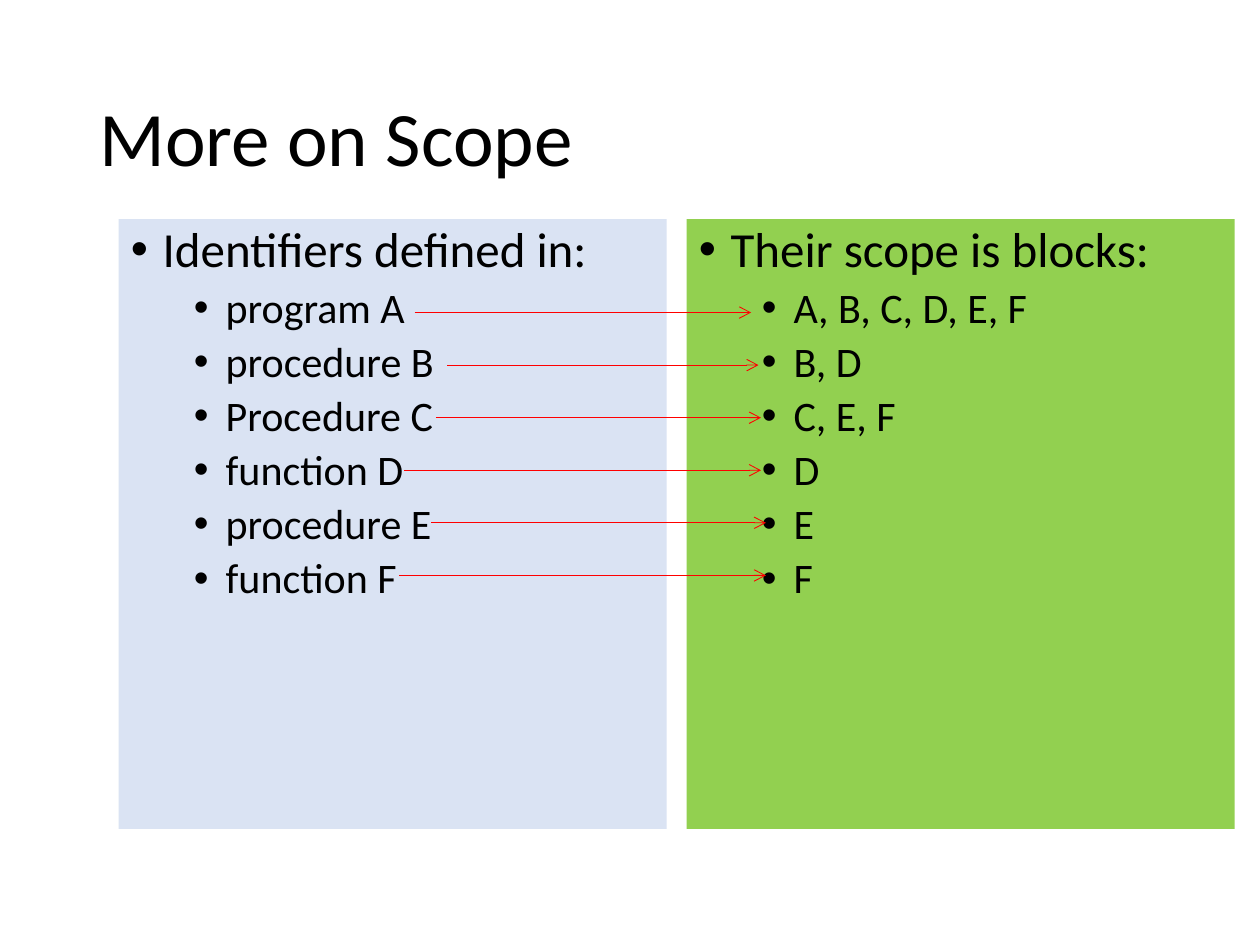
from pptx import Presentation
from pptx.util import Cm, Pt
from pptx.dml.color import RGBColor as RGB
from pptx.enum.shapes import MSO_CONNECTOR as Link
from pptx.enum.text import MSO_ANCHOR as Anchor, PP_ALIGN as Align
from lxml.etree import SubElement as Sub

NS = "{http://schemas.openxmlformats.org/drawingml/2006/main}"
INK = {"text": "000000", "left": "DAE3F3", "right": "92D050", "arrow": "FF0000"}


def style(para, size, **form):
    form = {"line_spacing": 0.9, "alignment": Align.LEFT, **form}
    for key, val in form.items():
        setattr(para, key, val)
    for key, val in {"name": "Calibri", "size": Pt(size)}.items():
        setattr(para.runs[0].font, key, val)
    para.runs[0].font.color.rgb = RGB.from_string(INK["text"])


deck = Presentation()
deck.slide_width, deck.slide_height = Cm(25.4), Cm(19.05)
slide = deck.slides.add_slide(deck.slide_layouts[5])

title = slide.shapes.title
place = {"left": 1.75, "top": 1.02, "width": 21.89, "height": 3.68}
for key, val in place.items():
    setattr(title, key, Cm(val))
title.text_frame.text = "More on Scope"
title.text_frame.vertical_anchor = Anchor.MIDDLE
style(title.text_frame.paragraphs[0], 44)

panels = [
    ("left", 2.39, "Identifiers defined in:",
     ["program A", "procedure B", "Procedure C",
      "function D", "procedure E", "function F"]),
    ("right", 13.84, "Their scope is blocks:",
     ["A, B, C, D, E, F", "B, D", "C, E, F", "D", "E", "F"]),
]
for side, left, head, items in panels:
    panel = slide.shapes.add_textbox(Cm(left), Cm(4.42), Cm(11.05), Cm(12.29))
    panel.fill.solid()
    panel.fill.fore_color.rgb = RGB.from_string(INK[side])
    frame = panel.text_frame
    frame.word_wrap = True
    for row, text in enumerate([head] + items):
        para = frame.add_paragraph() if row else frame.paragraphs[0]
        para.add_run().text = text
        level = 1 if row else 0
        style(para, 24 if row else 28, level=level,
              space_before=Pt(5 if row else 10))
        props = para._p.get_or_add_pPr()
        props.set("marL", str(Cm(1.91 if row else 0.64)))
        props.set("indent", str(Cm(-0.64)))
        Sub(props, NS + "buFont", typeface="Arial")
        Sub(props, NS + "buChar", char="•")

spans = [(8.36, 15.14), (9.02, 15.29), (8.79, 15.34),
         (8.15, 15.34), (8.69, 15.44), (8.05, 15.44)]
for row, (start, end) in enumerate(spans):
    y = Cm(6.3 + 1.06 * row)
    arrow = slide.shapes.add_connector(Link.STRAIGHT, Cm(start), y, Cm(end), y)
    arrow.line.color.rgb = RGB.from_string(INK["arrow"])
    arrow.line.width = Pt(0.5)
    Sub(arrow.line._get_or_add_ln(), NS + "tailEnd", type="arrow")
    Sub(arrow._element.spPr, NS + "effectLst")

deck.save("out.pptx")
